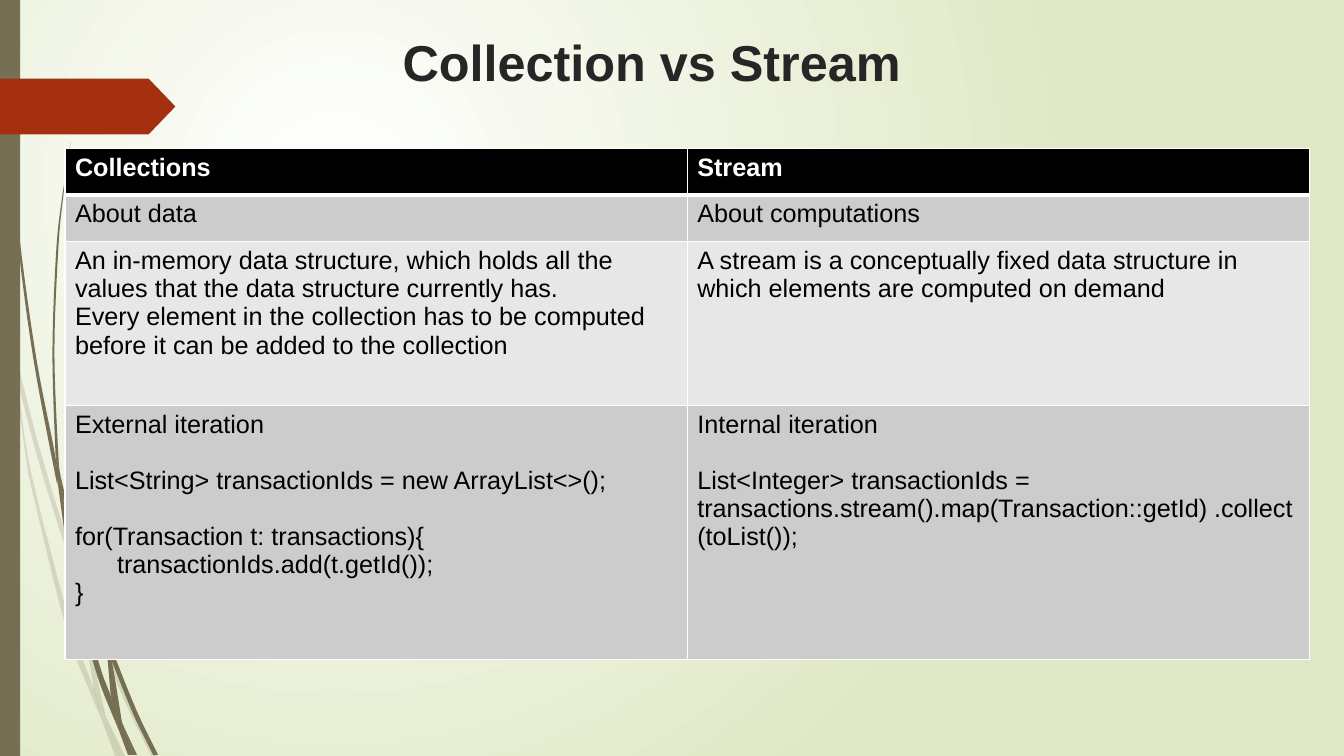
from lxml import etree
from pptx import Presentation
from pptx.dml.color import RGBColor
from pptx.enum.shapes import MSO_SHAPE
from pptx.enum.text import MSO_ANCHOR
from pptx.oxml.ns import qn
from pptx.util import Pt

RECT = MSO_SHAPE.RECTANGLE
ARROW = MSO_SHAPE.PENTAGON
TOP = MSO_ANCHOR.TOP
OLIVE = "766F54"
FONT = "Arial"
STEPS = 6
UNIT = 0.72  # points per grid unit of the grass

rgb = RGBColor.from_string


def paint(shape, color):
    shape.shadow.inherit = False
    shape.fill.solid()
    shape.fill.fore_color.rgb = rgb(color)
    shape.line.fill.background()


def smooth(knots):
    """Return points on a Catmull-Rom curve through the knots."""
    ends = [knots[0], *knots, knots[-1]]
    points = [knots[0]]
    for a, b, c, d in zip(ends, ends[1:], ends[2:], ends[3:]):
        for step in range(1, STEPS + 1):
            t = step / STEPS
            points.append(tuple(
                q + t * (r - p) / 2
                + t * t * (2 * p - 5 * q + 4 * r - s) / 2
                + t ** 3 * (3 * q - p - 3 * r + s) / 2
                for p, q, r, s in zip(a, b, c, d)))
    return points


deck = Presentation()
deck.slide_width, deck.slide_height = Pt(960), Pt(540)
slide = deck.slides.add_slide(deck.slide_layouts[6])
shapes = slide.shapes

# Background: light spot in the upper left
back = slide.background.fill
back.gradient()
for stop, place, color in zip(back.gradient_stops, (0, 1), ("FFFFFF", "DFE8C4")):
    stop.position = place
    stop.color.rgb = rgb(color)
grad = slide.background._cSld.find(".//" + qn("a:gradFill"))
grad.remove(grad.find(qn("a:lin")))
glow = etree.SubElement(grad, qn("a:path"), path="circle")
etree.SubElement(glow, qn("a:fillToRect"), l="50000", t="50000",
                 r="100000", b="100000")

# Grass blades: one edge down, the other edge up, in grid units
pale = [
    ([(0, 282), (9, 322), (11, 350)], [(10, 344), (0, 299)]),
    ([(14, 345), (36, 433), (62, 520), (85, 586)],
     [(84, 599), (58, 522), (36, 450), (17, 376)]),
    ([(88, 596), (92, 607), (127, 692), (155, 750)],
     [(150, 750), (123, 694), (88, 610)]),
    ([(105, 711), (124, 750)], [(119, 750)]),
    ([(11, 350), (17, 376), (31, 469), (70, 619), (93, 683), (101, 714)],
     [(92, 693), (65, 621), (28, 470)]),
    ([(84, 599), (88, 610), (91, 646), (105, 711)], [(93, 683), (87, 646)]),
    ([(312, 153), (289, 175), (268, 197), (228, 244), (158, 348), (107, 461),
      (85, 584), (85, 586)],
     [(88, 596), (88, 584), (110, 462), (160, 349), (229, 245), (268, 198),
      (290, 175)]),
    ([(101, 714), (119, 750)], [(114, 750)]),
    ([(85, 586), (88, 596), (88, 610)], [(84, 599)]),
    ([(93, 683), (105, 711), (119, 750)], [(101, 714)]),
]
dark = [
    ([(4, 0), (5, 48), (8, 109), (19, 232), (36, 355), (55, 453), (57, 481)],
     [(56, 477), (33, 355), (17, 233), (7, 110), (4, 48), (3, 0)]),
    ([(60, 472), (75, 533), (93, 590), (106, 631), (106, 645)],
     [(88, 592), (64, 505)]),
    ([(110, 641), (113, 649), (136, 706), (157, 749)],
     [(152, 749), (132, 708), (111, 656)]),
    ([(57, 477), (64, 505), (72, 556), (98, 657), (110, 691), (117, 722)],
     [(111, 708), (93, 659), (68, 557)]),
    ([(70, 141), (63, 193), (58, 245), (54, 349), (58, 453), (60, 472)],
     [(55, 449), (52, 349), (56, 245), (62, 193)]),
    ([(122, 719), (136, 749)], [(133, 749)]),
    ([(55, 449), (60, 472), (64, 505)], [(57, 477)]),
    ([(260, 344), (245, 358), (231, 373), (204, 405), (156, 474), (122, 551),
      (106, 631)],
     [(110, 641), (111, 633), (125, 552), (158, 476), (205, 406), (231, 374),
      (245, 359)]),
    ([(117, 722), (131, 749)], [(127, 749)]),
    ([(106, 645), (111, 656), (121, 716), (122, 719)], [(116, 706), (110, 691)]),
    ([(106, 631), (110, 641), (111, 656)], [(106, 645)]),
    ([(110, 691), (122, 719), (133, 749)], [(130, 749), (117, 722)]),
]
for alpha, blades in ((20, pale), (100, dark)):
    for down, up in blades:
        start, *rest = [(Pt(x * UNIT), Pt(y * UNIT))
                        for x, y in smooth(down) + smooth(up)]
        pen = shapes.build_freeform(*start)
        pen.add_line_segments(rest, close=True)
        blade = pen.convert_to_shape()
        paint(blade, OLIVE)
        if alpha < 100:
            tint = blade._element.spPr.find(".//" + qn("a:srgbClr"))
            etree.SubElement(tint, qn("a:alpha"), val=str(alpha * 1000))

bar = shapes.add_shape(RECT, 0, 0, Pt(14.4), Pt(540))
paint(bar, OLIVE)
arrow = shapes.add_shape(ARROW, 0, Pt(56.2), Pt(125.3), Pt(39.8))
arrow.adjustments[0] = 0.48
paint(arrow, "A53010")

title = shapes.add_textbox(Pt(280.5), Pt(18.7), Pt(454.3), Pt(61.2)).text_frame
title.word_wrap = True
title.vertical_anchor = TOP
head = title.paragraphs[0].add_run()
head.text = "Collection vs Stream"
for name, value in {"name": FONT, "size": Pt(36), "bold": True}.items():
    setattr(head.font, name, value)
head.font.color.rgb = rgb("262626")

# Table rows: height, fill, text color, cells as (gap before, indent, text)
rows = [
    (33.3, "000000", "FFFFFF", [[(0, 0, "Collections")], [(0, 0, "Stream")]]),
    (33.3, "CCCCCC", "000000", [[(0, 0, "About data")],
                                [(0, 0, "About computations")]]),
    (116.9, "E7E7E7", "000000", [
        [(0, 0, "An in-memory data structure, which holds all the values that "
                "the data structure currently has."),
         (0, 0, "Every element in the collection has to be computed before it "
                "can be added to the collection")],
        [(0, 0, "A stream is a conceptually fixed data structure in which "
                "elements are computed on demand")]]),
    (181.5, "CCCCCC", "000000", [
        [(0, 0, "External iteration"),
         (20, 0, "List<String> transactionIds = new ArrayList<>();"),
         (20, 0, "for(Transaction t: transactions){"),
         (0, 30, "transactionIds.add(t.getId());"),
         (0, 0, "}")],
        [(0, 0, "Internal iteration"),
         (20, 0, "List<Integer> transactionIds ="),
         (0, 0, "transactions.stream().map(Transaction::getId) "
                ".collect(toList());")]]),
]
table = shapes.add_table(len(rows), 2, Pt(46.4), Pt(106), Pt(889), Pt(365)).table
for i, (height, fill, ink, cells) in enumerate(rows):
    table.rows[i].height = Pt(height)
    for j, lines in enumerate(cells):
        cell = table.cell(i, j)
        cell.fill.solid()
        cell.fill.fore_color.rgb = rgb(fill)
        frame = cell.text_frame
        for n, (gap, indent, text) in enumerate(lines):
            para = frame.add_paragraph() if n else frame.paragraphs[0]
            para.space_before = Pt(gap)
            if indent:
                para._p.get_or_add_pPr().set("marL", str(Pt(indent)))
            run = para.add_run()
            run.text = text
            style = {"name": FONT, "size": Pt(18), "bold": i == 0}
            for name, value in style.items():
                setattr(run.font, name, value)
            run.font.color.rgb = rgb(ink)
        props = cell._tc.get_or_add_tcPr()
        for k, side in enumerate("LRTB"):
            thick = (i, side) in ((0, "B"), (1, "T"))
            edge = etree.Element(qn("a:ln" + side), w=str(Pt(3 if thick else 1)))
            solid = etree.SubElement(edge, qn("a:solidFill"))
            etree.SubElement(solid, qn("a:srgbClr"), val="FFFFFF")
            props.insert(k, edge)

deck.save("out.pptx")
